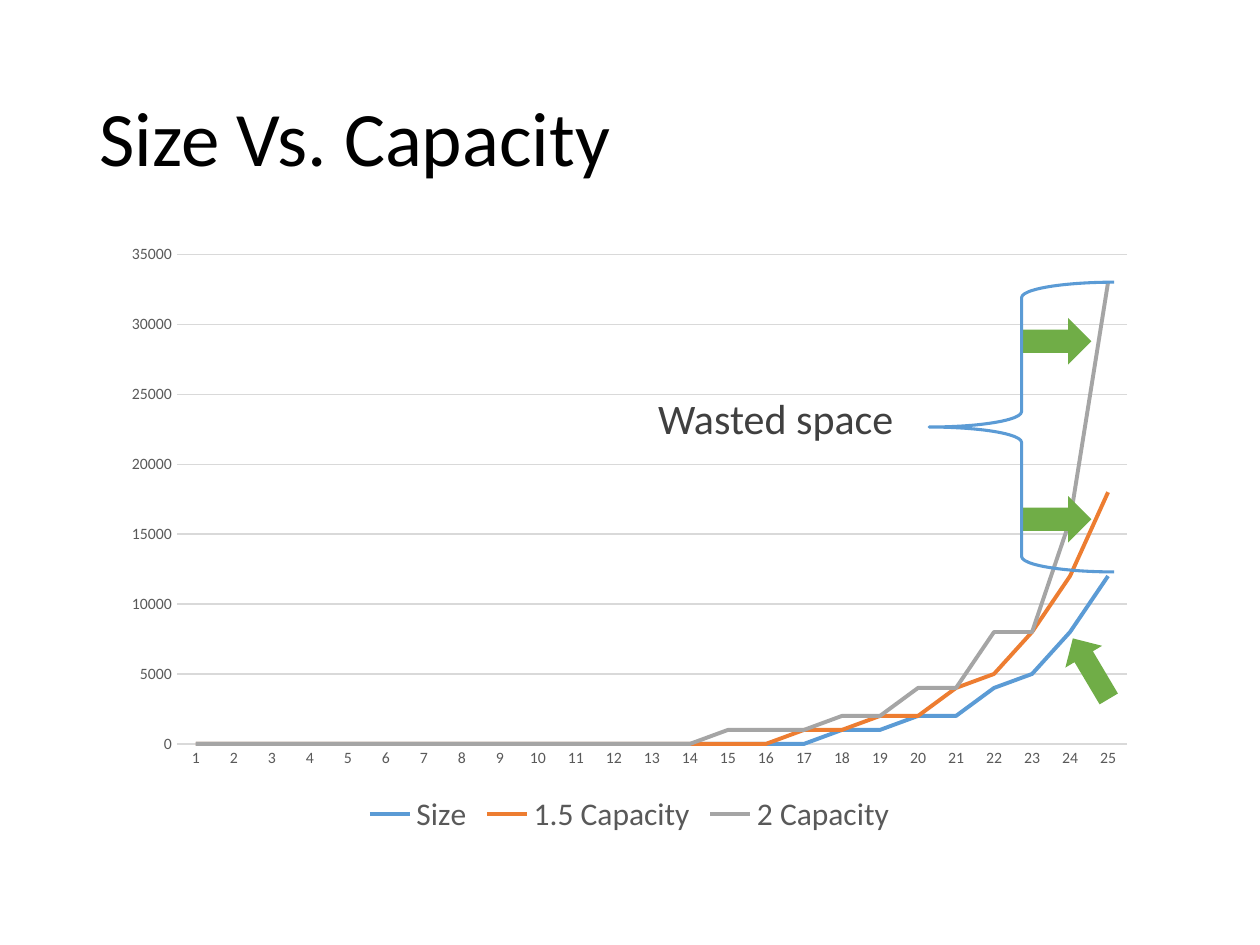
"""Build a slide comparing the size of a growing array with its capacity."""
from pptx import Presentation
from pptx.chart.data import CategoryChartData
from pptx.dml.color import RGBColor
from pptx.enum.chart import XL_CHART_TYPE, XL_LEGEND_POSITION, XL_TICK_MARK
from pptx.enum.shapes import MSO_SHAPE
from pptx.enum.text import MSO_ANCHOR, PP_ALIGN
from pptx.util import Cm, Pt

LINE_CHART = XL_CHART_TYPE.LINE
LEGEND_BOTTOM = XL_LEGEND_POSITION.BOTTOM
NO_TICK = XL_TICK_MARK.NONE
UP_ARROW, LEFT_BRACE = MSO_SHAPE.UP_ARROW, MSO_SHAPE.LEFT_BRACE
MIDDLE = MSO_ANCHOR.MIDDLE
LEFT, RIGHT = PP_ALIGN.LEFT, PP_ALIGN.RIGHT

FONT = "Calibri"
BLUE, ORANGE, GRAY, GREEN = "5B9BD5", "ED7D31", "A5A5A5", "70AD47"
GRID, LABEL, DARK, BLACK = "D9D9D9", "595959", "404040", "000000"

SIZE = [0] * 17 + [1000, 1000, 2000, 2000, 4000, 5000, 8000, 12000]
CAPACITY_1_5 = SIZE[1:] + [18000]
CAPACITY_2 = [0] * 14 + [1000, 1000, 1000, 2000, 2000, 4000, 4000,
                         8000, 8000, 16000, 33000]
SERIES = [("Size", SIZE, BLUE), ("1.5 Capacity", CAPACITY_1_5, ORANGE),
          ("2 Capacity", CAPACITY_2, GRAY)]


def rgb(value):
    return RGBColor.from_string(value)


def box(lengths):
    return [Cm(length) for length in lengths]


class SlideBuilder:
    """Holds the style and the current slide."""

    def __init__(self, slide, font):
        self.slide = slide
        self.font = font

    def style_font(self, font, size, color):
        font.name, font.size = self.font, Pt(size)
        font.color.rgb = rgb(color)

    def style_line(self, line, width, color):
        line.color.rgb = rgb(color)
        line.width = Pt(width)

    def title(self, text, at):
        title = self.slide.shapes.title
        title.left, title.top, title.width, title.height = box(at)
        frame = title.text_frame
        frame.text = text
        frame.vertical_anchor = MIDDLE
        paragraph = frame.paragraphs[0]
        paragraph.alignment, paragraph.line_spacing = LEFT, 0.9
        self.style_font(paragraph.font, 44, BLACK)

    def label(self, text, at):
        frame = self.slide.shapes.add_textbox(*box(at)).text_frame
        frame.word_wrap = True
        frame.text = text
        paragraph = frame.paragraphs[0]
        paragraph.alignment = RIGHT
        self.style_font(paragraph.font, 24, DARK)

    def arrow(self, at, rotation):
        arrow = self.slide.shapes.add_shape(UP_ARROW, *box(at))
        arrow.shadow.inherit = False
        arrow.rotation = rotation
        arrow.fill.solid()
        arrow.fill.fore_color.rgb = rgb(GREEN)
        arrow.line.fill.background()

    def brace(self, at):
        brace = self.slide.shapes.add_shape(LEFT_BRACE, *box(at))
        brace.shadow.inherit = False
        brace.fill.background()
        self.style_line(brace.line, 1.75, BLUE)

    def line_chart(self, series, at):
        data = CategoryChartData()
        data.categories = [str(step + 1) for step in range(len(series[0][1]))]
        for name, values, _ in series:
            data.add_series(name, values)
        chart = self.slide.shapes.add_chart(LINE_CHART, *box(at), data).chart
        self.style_font(chart.font, 10, BLACK)
        chart.has_title = False
        chart.has_legend = True
        chart.legend.position = LEGEND_BOTTOM
        chart.legend.include_in_layout = False
        self.style_font(chart.legend.font, 18, LABEL)

        plot = chart.plots[0]
        plot.vary_by_categories = False
        for line, (_, _, color) in zip(plot.series, series):
            line.smooth = False
            self.style_line(line.format.line, 2.25, color)

        steps, amounts = chart.category_axis, chart.value_axis
        for axis in (steps, amounts):
            axis.major_tick_mark = axis.minor_tick_mark = NO_TICK
            self.style_font(axis.tick_labels.font, 9, LABEL)
        self.style_line(steps.format.line, 0.75, GRID)
        amounts.format.line.fill.background()
        amounts.minimum_scale, amounts.maximum_scale = 0, 35000
        amounts.major_unit = 5000
        self.style_line(amounts.major_gridlines.format.line, 0.75, GRID)


def main():
    deck = Presentation()
    deck.slide_width, deck.slide_height = Cm(25.4), Cm(19.05)
    builder = SlideBuilder(deck.slides.add_slide(deck.slide_layouts[5]), FONT)
    builder.title("Size Vs. Capacity", (1.75, 1.01, 21.9, 3.68))
    builder.line_chart(SERIES, (2.24, 4.7, 20.9, 12.22))
    builder.arrow((21.56, 12.77, 0.86, 1.42), 329.3)
    for top in (9.78, 6.19):
        builder.arrow((20.84, top, 0.94, 1.38), 90)
    builder.brace((18.73, 5.69, 3.73, 5.84))
    builder.label("Wasted space", (12.8, 7.78, 5.46, 1.27))
    deck.save("out.pptx")


if __name__ == "__main__":
    main()
